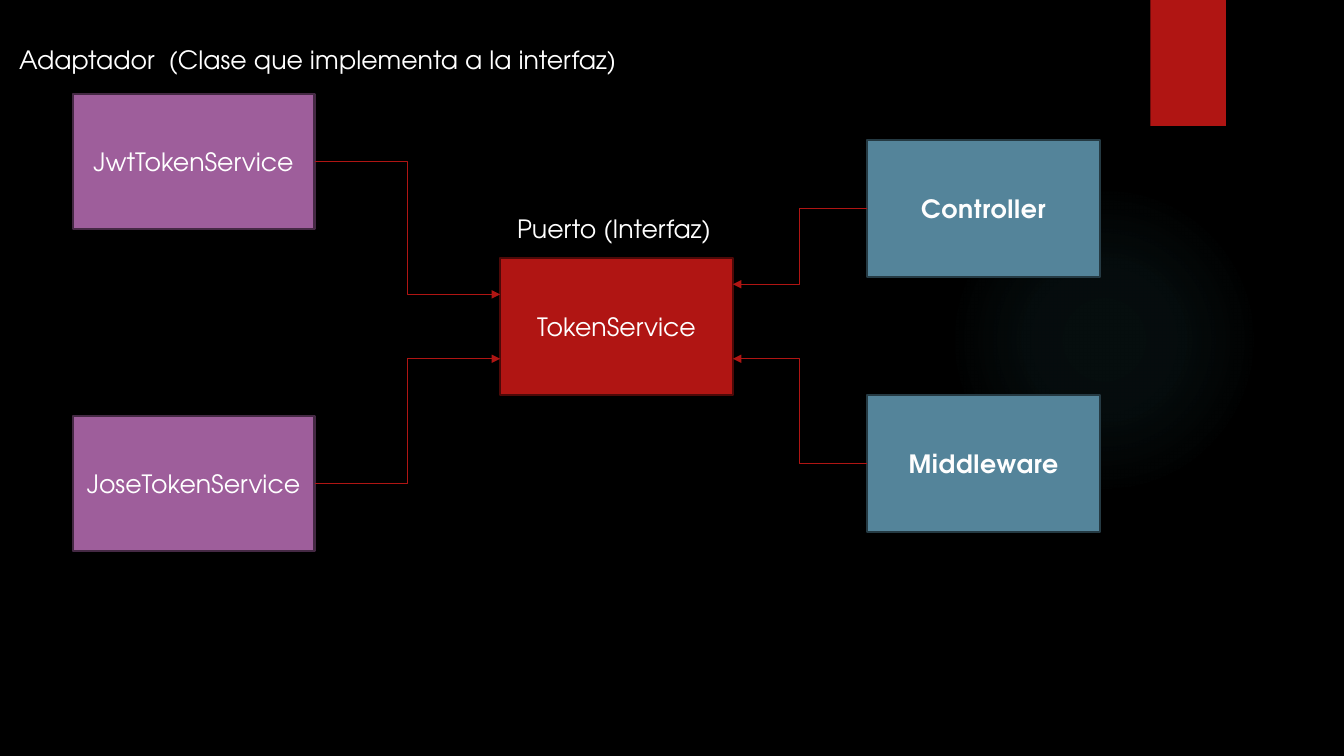
from lxml.etree import SubElement
from pptx import Presentation
from pptx.dml.color import RGBColor
from pptx.enum.shapes import MSO_CONNECTOR, MSO_SHAPE
from pptx.enum.text import MSO_ANCHOR, MSO_AUTO_SIZE, PP_ALIGN
from pptx.oxml import parse_xml
from pptx.oxml.ns import nsdecls, qn
from pptx.util import Inches, Pt

FONT = "TeX Gyre Adventor"
BLACK, WHITE, PALE = "000000", "FFFFFF", "FEFEFE"
RED, MAROON = "B01513", "4D0908"
PURPLE, PLUM = "9E5E9B", "452944"
BLUE, NAVY = "54849A", "253A43"
GLOW = "50B9C1"


def color(code):
    return RGBColor.from_string(code)


def write(frame, text, size=18, tint=WHITE, bold=False, align=PP_ALIGN.LEFT, edge=None):
    frame.word_wrap = True
    para = frame.paragraphs[0]
    para.alignment = align
    run = para.add_run()
    run.text = text
    font = run.font
    font.name, font.size, font.bold = FONT, Pt(size), bold
    font.color.rgb = color(tint)
    if edge:
        props = run._r.get_or_add_rPr()
        props.set("spc", "50")
        props.insert(0, parse_xml(
            f'<a:ln {nsdecls("a")} w="{Pt(0.75)}"><a:solidFill>'
            f'<a:srgbClr val="{edge}"/></a:solidFill></a:ln>'))


class Board:
    def __init__(self, slide, width=1.5):
        self.slide = slide
        self.shapes = slide.shapes
        self.width = width
        fill = slide.background.fill
        fill.solid()
        fill.fore_color.rgb = color(BLACK)

    def shape(self, kind, left, top, width, height):
        item = self.shapes.add_shape(
            kind, Inches(left), Inches(top), Inches(width), Inches(height))
        item.shadow.inherit = False
        item.line.fill.background()
        return item

    def glow(self, left, top, size):
        item = self.shape(MSO_SHAPE.OVAL, left, top, size, size)
        stops = "".join(
            f'<a:gs pos="{pos}000"><a:srgbClr val="{GLOW}">'
            f'<a:alpha val="{alpha}000"/></a:srgbClr></a:gs>'
            for pos, alpha in ((0, 7), (36, 6), (69, 0)))
        grad = parse_xml(
            f'<a:gradFill {nsdecls("a")} rotWithShape="1"><a:gsLst>{stops}</a:gsLst>'
            '<a:path path="circle"><a:fillToRect l="50000" t="50000" r="50000" b="50000"/>'
            '</a:path></a:gradFill>')
        item._element.spPr.find(qn("a:prstGeom")).addnext(grad)

    def box(self, left, top, width, height, fill, line=None, text=None, **style):
        item = self.shape(MSO_SHAPE.RECTANGLE, left, top, width, height)
        item.fill.solid()
        item.fill.fore_color.rgb = color(fill)
        if line:
            item.line.color.rgb = color(line)
            item.line.width = Pt(self.width)
        if text:
            item.text_frame.vertical_anchor = MSO_ANCHOR.MIDDLE
            write(item.text_frame, text, align=PP_ALIGN.CENTER, **style)

    def label(self, left, top, width, text):
        item = self.shapes.add_textbox(
            Inches(left), Inches(top), Inches(width), Inches(0.4))
        write(item.text_frame, text)
        item.text_frame.auto_size = MSO_AUTO_SIZE.SHAPE_TO_FIT_TEXT

    def arrow(self, left, top, right, low):
        item = self.shapes.add_connector(
            MSO_CONNECTOR.ELBOW, Inches(left), Inches(top), Inches(right), Inches(low))
        item.line.color.rgb = color(RED)
        item.line.width = Pt(0.75)
        SubElement(item.line._get_or_add_ln(), qn("a:tailEnd"), type="triangle")
        SubElement(item._element.spPr, qn("a:effectLst"))


def main():
    deck = Presentation()
    deck.slide_width, deck.slide_height = Inches(13.33), Inches(7.5)
    board = Board(deck.slides.add_slide(deck.slide_layouts[6]))

    board.glow(9.41, 1.83, 3.08)
    board.box(11.41, 0, 0.75, 1.25, RED)

    port, wide, high = 4.96, 2.31, 1.36
    board.box(port, 2.56, wide, high, RED, MAROON, "TokenService")
    board.label(5.03, 2.07, 2.16, "Puerto (Interfaz)")
    board.label(0.09, 0.39, 6.31, "Adaptador  (Clase que implementa a la interfaz)")

    left, span, tall = 0.72, 2.4, 1.34
    for name, top, goal in (("JwtTokenService", 0.93, 2.92), ("JoseTokenService", 4.13, 3.56)):
        board.box(left, top, span, tall, PURPLE, PLUM, name)
        board.arrow(left + span, top + tall / 2, port, goal)

    user = 8.6
    for name, top, goal in (("Controller", 1.39, 2.82), ("Middleware", 3.92, 3.56)):
        board.box(user, top, wide, high, BLUE, NAVY, name, tint=PALE, bold=True, edge=RED)
        board.arrow(user, top + high / 2, port + wide, goal)

    deck.save("out.pptx")


if __name__ == "__main__":
    main()
